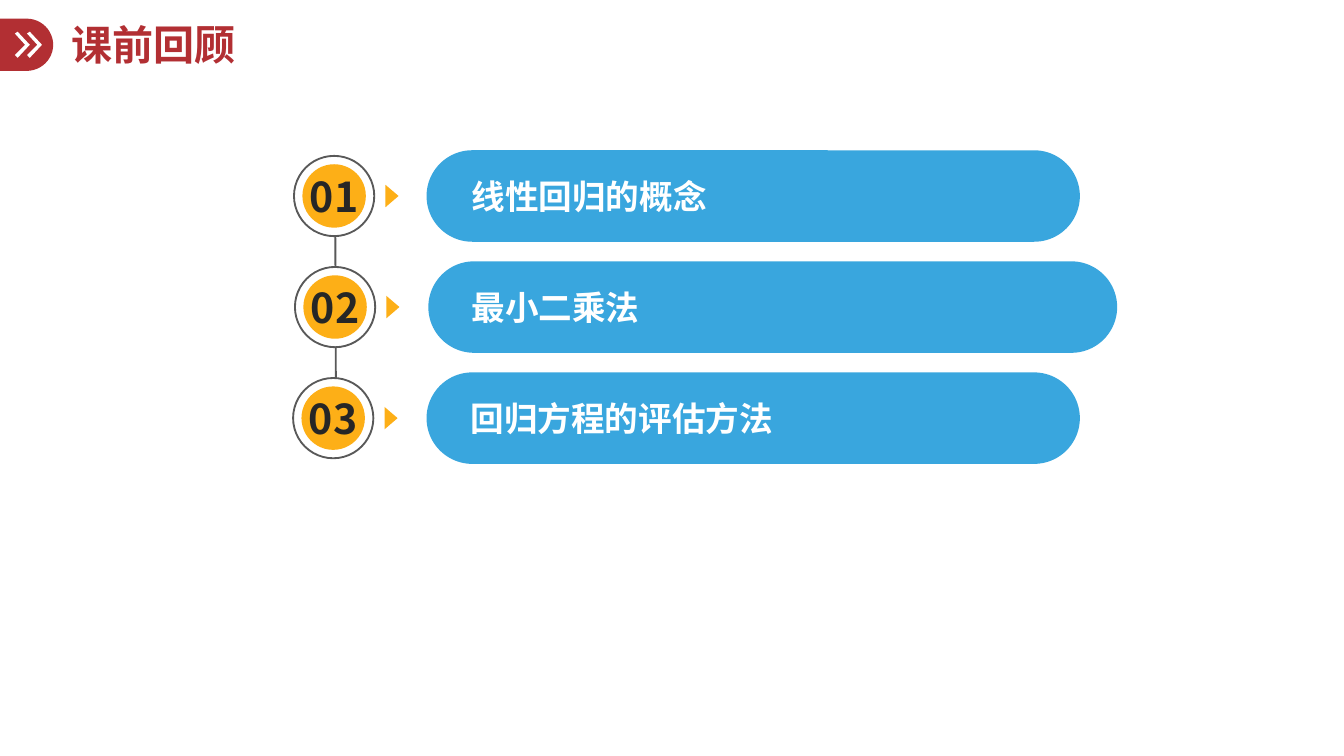
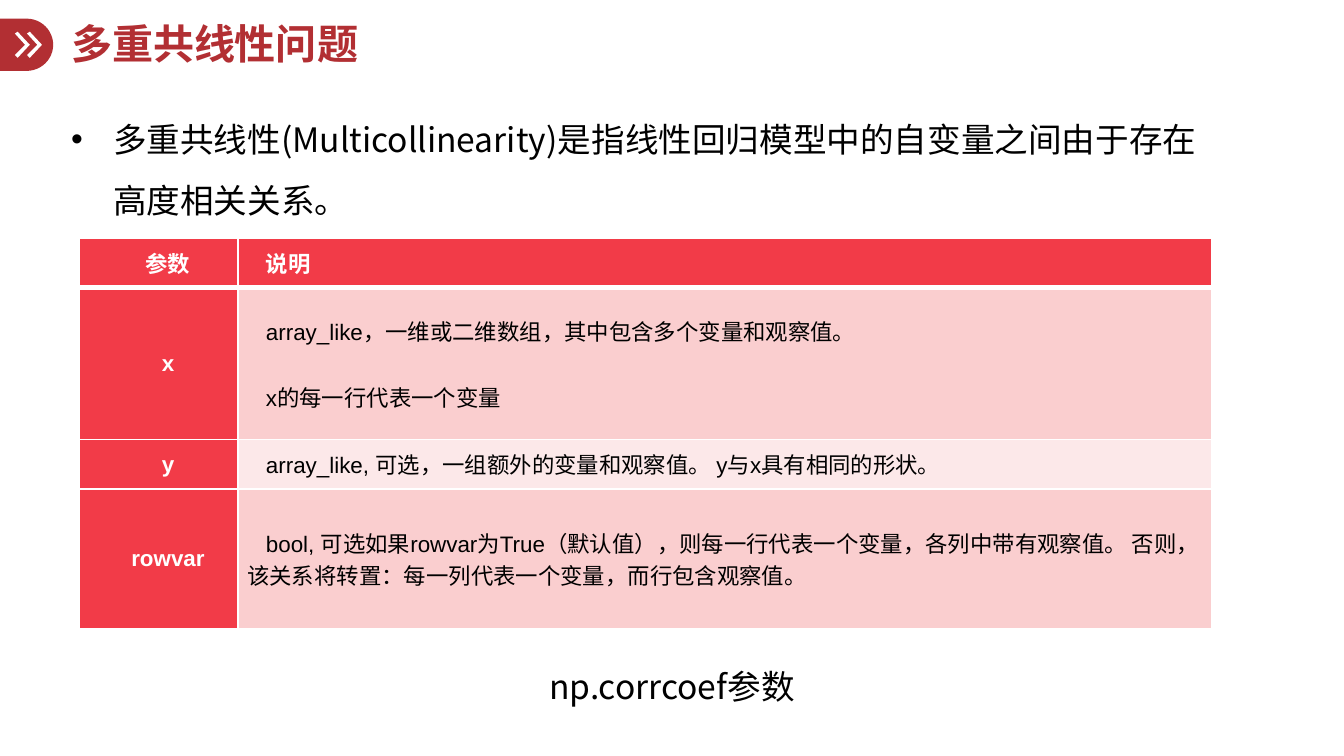
from pptx import Presentation
from pptx.dml.color import RGBColor as RGB
from pptx.enum.shapes import MSO_CONNECTOR as CONN, MSO_SHAPE as SHAPE
from pptx.enum.text import MSO_ANCHOR as ANCHOR, MSO_AUTO_SIZE as FIT, PP_ALIGN as ALIGN
from pptx.oxml.ns import qn
from pptx.util import Pt
from lxml.etree import SubElement

PX = 6350


class Theme:
    red, blue, amber = "B22F33", "39A6DE", "FDAF17"
    white, black, ink, grey = "FFFFFF", "000000", "262626", "595959"
    head, rose, blush = "F23B48", "FACECF", "FCE8E9"
    cjk, latin = "Noto Sans CJK SC", "Arial"
    big, mid, small = Pt(22), Pt(18), Pt(12)


def add_shape(s, kind, box, fill, line=None):
    sp = s.shapes.add_shape(kind, *(v * PX for v in box))
    sp.shadow.inherit = False
    sp.fill.solid()
    sp.fill.fore_color.rgb = RGB.from_string(fill)
    if line:
        sp.line.color.rgb = RGB.from_string(line)
        sp.line.width = Pt(1)
    else:
        sp.line.fill.background()
    return sp


def write(tf, lines, color, font, para=None, frame=None, indent=None, bullet=None):
    for key, value in (frame or {}).items():
        setattr(tf, key, value)
    for i, line in enumerate(lines):
        p = tf.add_paragraph() if i else tf.paragraphs[0]
        for key, value in (para or {}).items():
            setattr(p, key, value)
        if indent:
            pPr = p._p.get_or_add_pPr()
            for key, value in zip(("marL", "indent"), indent):
                pPr.set(key, str(value * PX))
            if bullet:
                SubElement(pPr, qn("a:buFont")).set("typeface", Theme.latin)
                SubElement(pPr, qn("a:buChar")).set("char", bullet)
        r = p.add_run()
        r.text = line
        for key, value in font.items():
            setattr(r.font, key, value)
        r.font.color.rgb = RGB.from_string(color)
        SubElement(r._r.get_or_add_rPr(), qn("a:ea")).set("typeface", Theme.cjk)


title_font = {"name": Theme.cjk, "size": Theme.big, "bold": True}
label_font = {**title_font, "size": Theme.mid}
body_font = {**label_font, "bold": False}
title_frame = {"word_wrap": True, "vertical_anchor": ANCHOR.MIDDLE}
grow_frame = {"word_wrap": True, "auto_size": FIT.SHAPE_TO_FIT_TEXT}
number_frame = {**grow_frame, "word_wrap": False, "vertical_anchor": ANCHOR.MIDDLE}
centered = {"alignment": ALIGN.CENTER}

prs = Presentation()
prs.slide_width, prs.slide_height = 1440 * PX, 810 * PX

chevron = [(16, 36), (19, 34), (32, 48), (19, 62), (16, 59), (27, 48)]
slides = []
for title, top in (("课前回顾", 22), ("多重共线性问题", 20)):
    s = prs.slides.add_slide(prs.slide_layouts[6])
    slides.append(s)
    add_shape(s, SHAPE.FLOWCHART_DELAY, (0, 20, 57, 56), Theme.red)
    for dx in (13, 0):
        points = [(x + dx, y) for x, y in chevron]
        fb = s.shapes.build_freeform(*points[0], scale=PX)
        fb.add_line_segments(points[1:], close=True)
        sp = fb.convert_to_shape()
        sp.shadow.inherit = False
        sp.fill.solid()
        sp.fill.fore_color.rgb = RGB.from_string(Theme.white)
        sp.line.fill.background()
    sp = s.shapes.add_textbox(*(v * PX for v in (62, top, 1051, 58)))
    write(sp.text_frame, [title], Theme.red, title_font, {"line_spacing": 0.9}, title_frame)

review, collinearity = slides

spine = review.shapes.add_connector(CONN.STRAIGHT, *(v * PX for v in (359, 176, 360, 448)))
spine.line.color.rgb = RGB.from_string(Theme.grey)
spine.line.width = Pt(1)
SubElement(spine._element.spPr, qn("a:effectLst"))

topics = [
    ("线性回归的概念", 358, 457, 700, 491, 600),
    ("最小二乘法", 359, 459, 738, 491, 740),
    ("回归方程的评估方法", 357, 457, 700, 490, 590),
]
for i, (topic, cx, pill_x, pill_w, text_x, text_w) in enumerate(topics):
    cy = 210 + 119 * i
    pill = add_shape(review, SHAPE.ROUNDED_RECTANGLE, (pill_x, cy - 49, pill_w, 98), Theme.blue)
    pill.adjustments[0] = 0.5
    sp = review.shapes.add_textbox(*(v * PX for v in (text_x, cy - 29, text_w, 58)))
    write(sp.text_frame, [topic], Theme.white, label_font, frame=grow_frame)
    add_shape(review, SHAPE.OVAL, (cx - 43, cy - 43, 86, 86), Theme.white, Theme.grey)
    add_shape(review, SHAPE.OVAL, (cx - 34, cy - 34, 68, 68), Theme.amber)
    sp = review.shapes.add_textbox(*(v * PX for v in (cx - 42, cy - 34, 84, 68)))
    write(sp.text_frame, [f"{i + 1:02}"], Theme.ink, title_font, centered, number_frame)
    arrow = add_shape(review, SHAPE.ISOSCELES_TRIANGLE, (cx + 50, cy - 7, 24, 14), Theme.amber)
    arrow.rotation = 90

sp = collinearity.shapes.add_textbox(*(v * PX for v in (62, 99, 1259, 138)))
definition = "多重共线性(Multicollinearity)是指线性回归模型中的自变量之间由于存在高度相关关系。"
write(sp.text_frame, [definition], Theme.black, body_font, {"line_spacing": 1.5},
      grow_frame, (45, -45), "•")

rows = [
    (53, Theme.head, "参数", ["说明"]),
    (163, Theme.rose, "x", ["array_like，一维或二维数组，其中包含多个变量和观察值。", "x的每一行代表一个变量"]),
    (53, Theme.blush, "y", ["array_like, 可选，一组额外的变量和观察值。 y与x具有相同的形状。"]),
    (150, Theme.rose, "rowvar", [
        "bool, 可选如果rowvar为True（默认值），则每一行代表一个变量，各列中带有观察值。 "
        "否则，该关系将转置：每一列代表一个变量，而行包含观察值。"]),
]
cell_format = {"vertical_anchor": ANCHOR.MIDDLE, "margin_left": 10 * PX, "margin_right": 10 * PX,
               "margin_top": PX, "margin_bottom": PX}
table = collinearity.shapes.add_table(4, 2, *(v * PX for v in (85, 255, 1213, 419))).table
for col, width in zip(table.columns, (170, 1043)):
    col.width = width * PX
for i, (height, fill, name, notes) in enumerate(rows):
    table.rows[i].height = height * PX
    for j, lines in enumerate(([name], notes)):
        cell = table.cell(i, j)
        for key, value in cell_format.items():
            setattr(cell, key, value)
        tcPr = cell._tc.get_or_add_tcPr()
        for side in "LRTB":
            thick = (i, side) in ((0, "B"), (1, "T"))
            ln = SubElement(tcPr, qn(f"a:ln{side}"), w=str(Pt(3 if thick else 1)))
            SubElement(SubElement(ln, qn("a:solidFill")), qn("a:srgbClr")).set("val", Theme.white)
        heading = i == 0 or j == 0
        cell.fill.solid()
        cell.fill.fore_color.rgb = RGB.from_string(Theme.head if heading else fill)
        font = {"name": Theme.latin, "size": Theme.small, "bold": heading}
        para = {"alignment": ALIGN.LEFT if j else ALIGN.CENTER,
                "space_before": Pt(9), "space_after": Pt(9)}
        write(cell.text_frame, lines, Theme.white if heading else Theme.black, font, para,
              indent=(0, 20))

sp = collinearity.shapes.add_textbox(*(v * PX for v in (360, 706, 720, 58)))
write(sp.text_frame, ["np.corrcoef参数"], Theme.black, body_font, centered, grow_frame)

prs.save("out.pptx")
